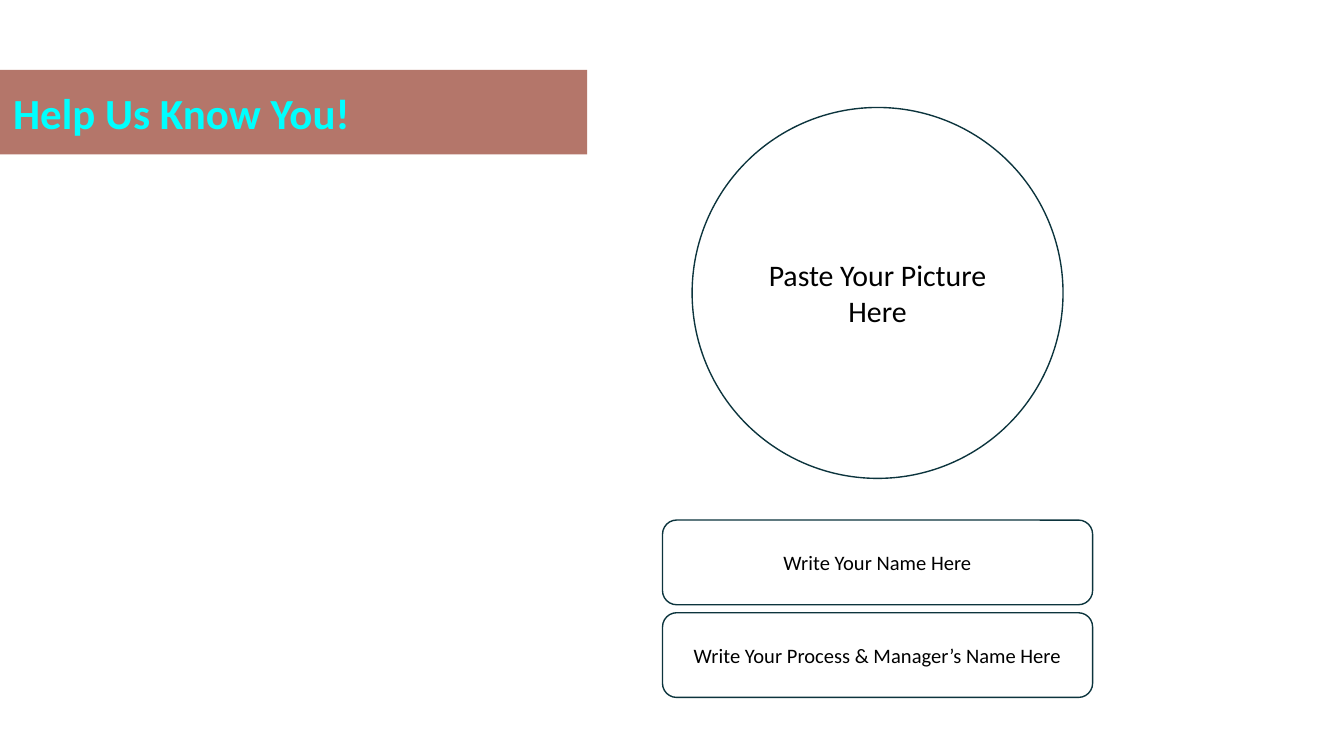
from pptx import Presentation
from pptx.dml.color import RGBColor
from pptx.enum.shapes import MSO_SHAPE
from pptx.enum.text import MSO_ANCHOR, PP_ALIGN
from pptx.oxml.ns import qn
from pptx.util import Inches, Pt
from lxml import etree

RECT, OVAL, ROUNDED = MSO_SHAPE.RECTANGLE, MSO_SHAPE.OVAL, MSO_SHAPE.ROUNDED_RECTANGLE
LEFT, CENTER, MIDDLE = PP_ALIGN.LEFT, PP_ALIGN.CENTER, MSO_ANCHOR.MIDDLE

# Content
TITLE = "Help Us Know You!"
PHOTO = "Paste Your Picture Here"
FIELDS = ["Write Your Name Here", "Write Your Process & Manager’s Name Here"]

# Layout in inches
SLIDE_W = 10
SLIDE_H = SLIDE_W * 9 / 16
BAR_H = 0.63
CENTER_X = 6.53
PHOTO_TOP, PHOTO_SIZE = 0.8, 2.76
FIELD_TOP, FIELD_W, FIELD_STEP = 3.87, 3.2, 0.69

BROWN, CYAN, TEAL, BLACK = "85200C", "00FFFF", "0C343D", "000000"


def rgb(color):
    return RGBColor.from_string(color)


def add_box(slide, kind, x, y, w, h, text, size, color=BLACK, align=CENTER):
    s = slide.shapes.add_shape(kind, Inches(x), Inches(y), Inches(w), Inches(h))
    s.shadow.inherit = False
    s.fill.background()
    s.line.color.rgb = rgb(TEAL)
    s.line.width = Pt(0.75)
    tf = s.text_frame
    tf.word_wrap = True
    tf.vertical_anchor = MIDDLE
    tf.margin_left = tf.margin_right = tf.margin_top = tf.margin_bottom = Inches(0.1)
    p = tf.paragraphs[0]
    p.text = text
    p.alignment = align
    p.font.name = "Calibri"
    p.font.size = Pt(size)
    p.font.color.rgb = rgb(color)
    return s


prs = Presentation()
prs.slide_width, prs.slide_height = Inches(SLIDE_W), Inches(SLIDE_H)
slide = prs.slides.add_slide(prs.slide_layouts[6])

# Title bar, 61% opaque
bar = add_box(slide, RECT, 0, 0.52, 4.37, BAR_H, TITLE, 23, CYAN, LEFT)
bar.text_frame.paragraphs[0].font.bold = True
bar.line.fill.background()
bar.fill.solid()
bar.fill.fore_color.rgb = rgb(BROWN)
fill_color = bar.fill._xPr.find(".//" + qn("a:srgbClr"))
etree.SubElement(fill_color, qn("a:alpha"), val="61000")

# Photo circle
add_box(slide, OVAL, CENTER_X - PHOTO_SIZE / 2, PHOTO_TOP, PHOTO_SIZE, PHOTO_SIZE, PHOTO, 16)

# Fields below the photo
for i, text in enumerate(FIELDS):
    add_box(slide, ROUNDED, CENTER_X - FIELD_W / 2, FIELD_TOP + i * FIELD_STEP,
            FIELD_W, BAR_H, text, 11)

prs.save("out.pptx")
